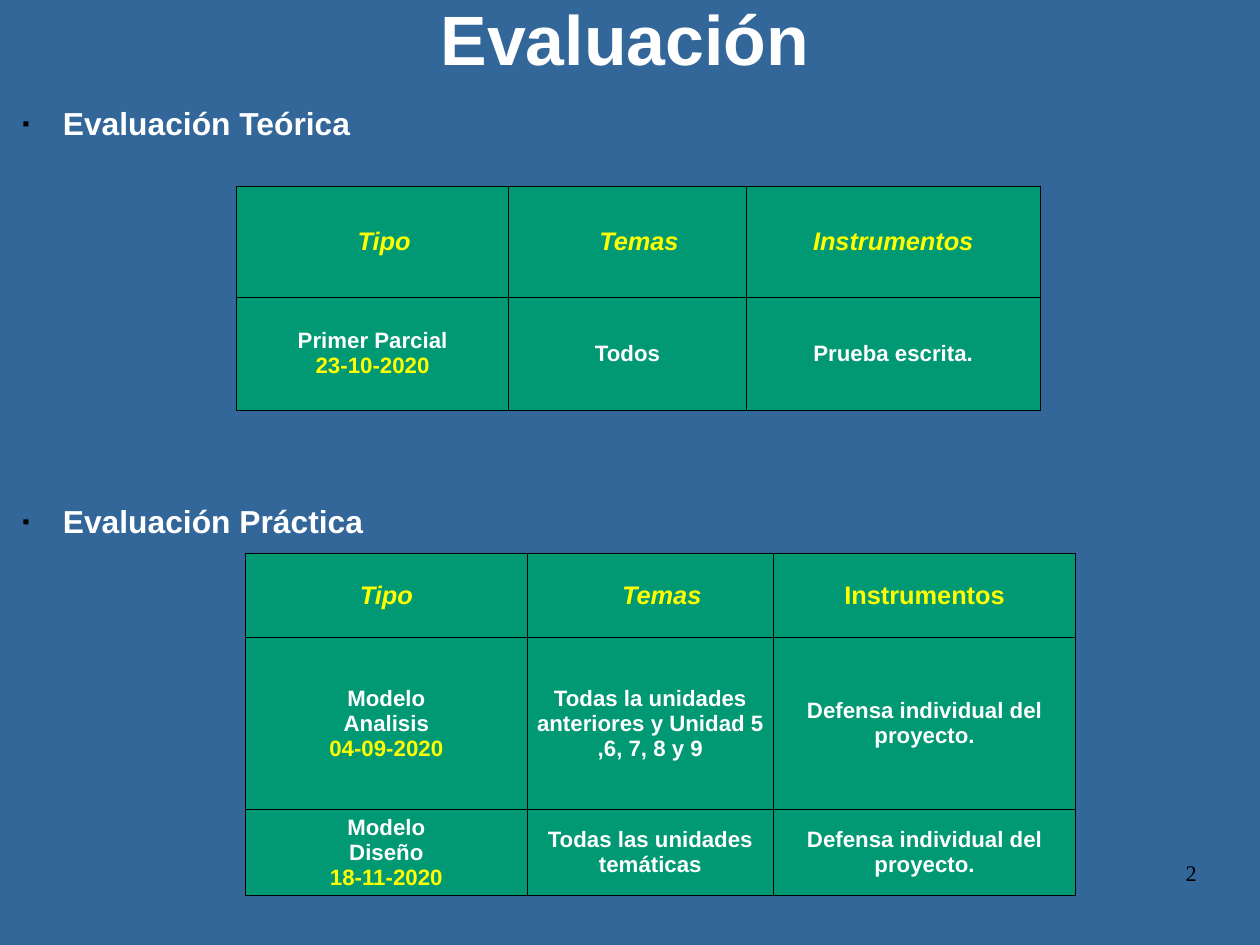
from dataclasses import dataclass

from lxml import etree
from pptx import Presentation
from pptx.dml.color import RGBColor
from pptx.enum.text import MSO_ANCHOR, MSO_AUTO_SIZE, PP_ALIGN
from pptx.oxml.ns import qn
from pptx.slide import Slide
from pptx.table import _Cell
from pptx.text.text import TextFrame, _Paragraph
from pptx.util import Inches, Pt

CENTER, RIGHT = PP_ALIGN.CENTER, PP_ALIGN.RIGHT
MIDDLE, TOP = MSO_ANCHOR.MIDDLE, MSO_ANCHOR.TOP
NO_AUTOFIT = MSO_AUTO_SIZE.NONE
TITLE_ONLY = 5
CM_PER_INCH = 2.54


@dataclass(frozen=True)
class Theme:
    background: str = "336699"
    cell: str = "009973"
    text: str = "FFFFFF"
    accent: str = "FFFF00"
    ink: str = "000000"
    font: str = "Arial"
    number_font: str = "Times New Roman"
    title_size: int = 44
    heading_size: int = 20
    header_size: int = 16
    body_size: int = 14
    line_spacing: float = 0.98
    cell_margin: float = 0.05
    border: float = 0.45


@dataclass(frozen=True)
class Header:
    label: str
    indent: float = 0
    italic: bool = True


@dataclass(frozen=True)
class Entry:
    activity: str
    date: str
    topics: str
    instrument: str


@dataclass(frozen=True)
class Schedule:
    left: float
    top: float
    widths: list[float]
    heights: list[float]
    headers: list[Header]
    entries: list[Entry]


THEME = Theme()

PRACTICAL = Schedule(
    2.15, 4.84, [2.46, 2.16, 2.64], [0.74, 1.5, 0.75],
    [Header("Tipo"), Header("Temas", 0.2), Header("Instrumentos", italic=False)],
    [
        Entry("Modelo\nAnalisis", "04-09-2020",
              "Todas la unidades anteriores y Unidad 5 ,6, 7, 8 y 9",
              "Defensa individual del proyecto."),
        Entry("Modelo\nDiseño", "18-11-2020", "Todas las unidades temáticas",
              "Defensa individual del proyecto."),
    ],
)
THEORY = Schedule(
    2.07, 1.63, [2.38, 2.08, 2.57], [0.97, 0.99],
    [Header("Tipo", 0.2), Header("Temas", 0.2), Header("Instrumentos")],
    [Entry("Primer Parcial", "23-10-2020", "Todos", "Prueba escrita.")],
)


def rgb(color: str) -> RGBColor:
    return RGBColor.from_string(color)


def style(paragraph: _Paragraph, size: int, color: str, font: str = THEME.font,
          bold: bool = True, italic: bool = False) -> None:
    for run in paragraph.runs:
        run.font.name = font
        run.font.size = Pt(size)
        run.font.bold = bold
        run.font.italic = italic
        run.font.color.rgb = rgb(color)


def prepare(frame: TextFrame, anchor: MSO_ANCHOR = TOP) -> None:
    frame.margin_left = frame.margin_right = frame.margin_top = frame.margin_bottom = 0
    frame.word_wrap = True
    frame.auto_size = NO_AUTOFIT
    frame.vertical_anchor = anchor


def add_bullet(paragraph: _Paragraph) -> None:
    properties = paragraph._p.get_or_add_pPr()
    properties.set("marL", str(Inches(0.47)))
    properties.set("indent", str(Inches(-0.35)))
    color = etree.SubElement(properties, qn("a:buClr"))
    etree.SubElement(color, qn("a:srgbClr"), val=THEME.ink)
    etree.SubElement(properties, qn("a:buSzPct"), val="33000")
    etree.SubElement(properties, qn("a:buFont"), typeface=THEME.font)
    etree.SubElement(properties, qn("a:buChar"), char="■")


def format_cell(cell: _Cell) -> None:
    margin = Inches(THEME.cell_margin)
    cell.margin_left = cell.margin_right = cell.margin_top = cell.margin_bottom = margin
    cell.vertical_anchor = MIDDLE
    properties = cell._tc.get_or_add_tcPr()
    for side in ("lnL", "lnR", "lnT", "lnB"):
        border = etree.SubElement(properties, qn(f"a:{side}"), w=str(Pt(THEME.border)))
        fill = etree.SubElement(border, qn("a:solidFill"))
        etree.SubElement(fill, qn("a:srgbClr"), val=THEME.ink)
    cell.fill.solid()
    cell.fill.fore_color.rgb = rgb(THEME.cell)


def fill_header(cell: _Cell, header: Header) -> None:
    format_cell(cell)
    cell.text_frame.text = header.label
    paragraph = cell.text_frame.paragraphs[0]
    paragraph.alignment = CENTER
    if header.indent:
        paragraph._p.get_or_add_pPr().set("marL", str(Inches(header.indent)))
    style(paragraph, THEME.header_size, THEME.accent, italic=header.italic)


def fill_entry(cell: _Cell, content: str, date: str = "") -> None:
    format_cell(cell)
    cell.text_frame.text = f"{content}\n{date}" if date else content
    for paragraph in cell.text_frame.paragraphs:
        paragraph.alignment = CENTER
        color = THEME.accent if paragraph.text == date else THEME.text
        style(paragraph, THEME.body_size, color)


def add_schedule(slide: Slide, schedule: Schedule) -> None:
    table = slide.shapes.add_table(
        len(schedule.heights), len(schedule.widths),
        Inches(schedule.left), Inches(schedule.top),
        Inches(sum(schedule.widths)), Inches(sum(schedule.heights))).table
    table.first_row = table.horz_banding = False
    for column, width in zip(table.columns, schedule.widths):
        column.width = Inches(width)
    for row, height in zip(table.rows, schedule.heights):
        row.height = Inches(height)
    for index, header in enumerate(schedule.headers):
        fill_header(table.cell(0, index), header)
    for index, entry in enumerate(schedule.entries, start=1):
        fill_entry(table.cell(index, 0), entry.activity, entry.date)
        fill_entry(table.cell(index, 1), entry.topics)
        fill_entry(table.cell(index, 2), entry.instrument)


def add_title(slide: Slide) -> None:
    title = slide.shapes.title
    title.left, title.top = Inches(0.51), Inches(0.05)
    title.width, title.height = Inches(9.92), Inches(0.62)
    prepare(title.text_frame, MIDDLE)
    title.text_frame.text = "Evaluación"
    paragraph = title.text_frame.paragraphs[0]
    paragraph.alignment = CENTER
    paragraph.line_spacing = THEME.line_spacing
    style(paragraph, THEME.title_size, THEME.text)


def add_headings(slide: Slide) -> None:
    headings = slide.shapes.add_textbox(
        Inches(0.08), Inches(0.92), Inches(10.69), Inches(7.35)).text_frame
    prepare(headings)
    headings.text = "Evaluación Teórica\nEvaluación Práctica"
    for paragraph in headings.paragraphs:
        add_bullet(paragraph)
        paragraph.line_spacing = THEME.line_spacing
        style(paragraph, THEME.heading_size, THEME.text)
    headings.paragraphs[1].space_before = Pt(227.5)


def add_page_number(slide: Slide) -> None:
    number = slide.shapes.add_textbox(
        Inches(7.9), Inches(7.53), Inches(2.57), Inches(0.57)).text_frame
    prepare(number)
    number.text = "2"
    paragraph = number.paragraphs[0]
    paragraph.alignment = RIGHT
    paragraph.line_spacing = THEME.line_spacing
    style(paragraph, THEME.body_size, THEME.ink, THEME.number_font, bold=False)


def main() -> None:
    deck = Presentation()
    deck.slide_width = Inches(28 / CM_PER_INCH)
    deck.slide_height = Inches(21 / CM_PER_INCH)
    slide = deck.slides.add_slide(deck.slide_layouts[TITLE_ONLY])
    slide.background.fill.solid()
    slide.background.fill.fore_color.rgb = rgb(THEME.background)
    add_page_number(slide)
    add_title(slide)
    add_headings(slide)
    for schedule in (PRACTICAL, THEORY):
        add_schedule(slide, schedule)
    deck.save("out.pptx")


if __name__ == "__main__":
    main()
